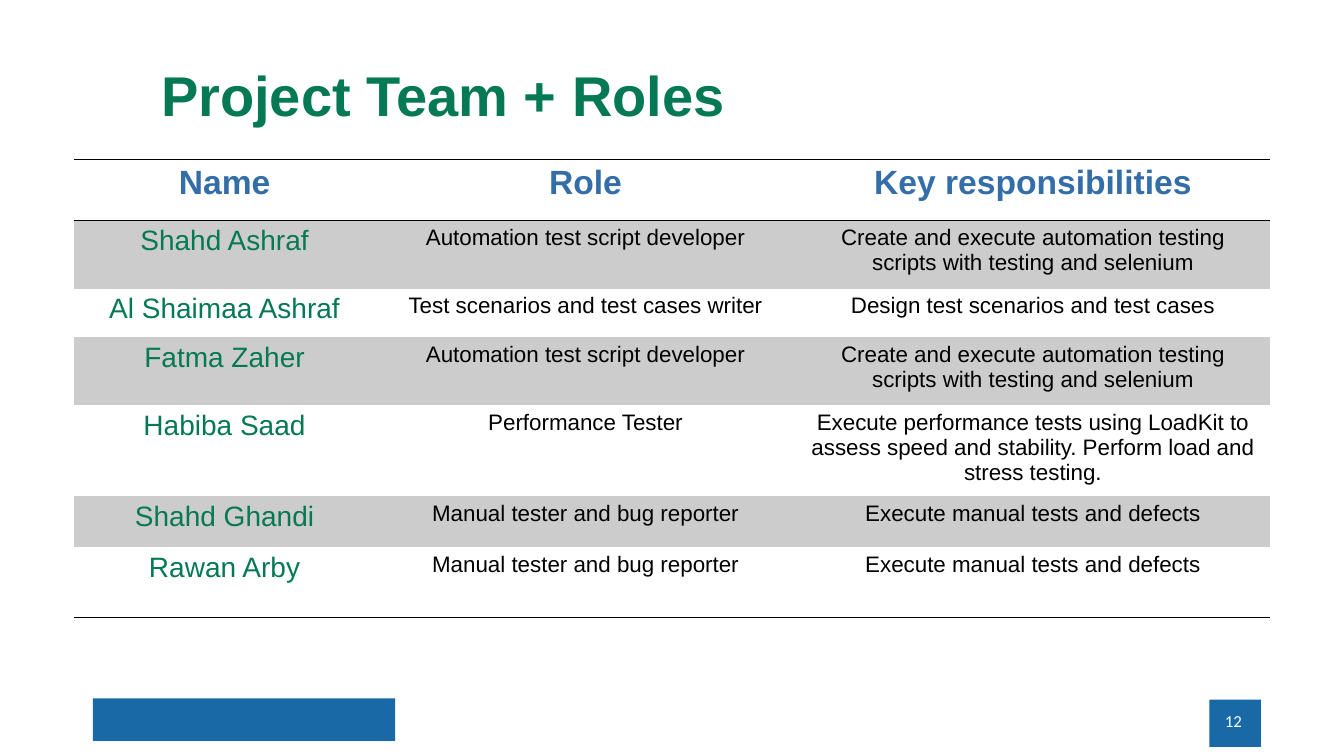
from lxml import etree
from pptx import Presentation
from pptx.dml.color import RGBColor
from pptx.enum import shapes, text
from pptx.oxml import ns
from pptx.util import Cm, Pt

GREEN = RGBColor(0x04, 0x79, 0x54)
HEADER_BLUE = RGBColor(0x33, 0x6E, 0xA8)
BAR_BLUE = RGBColor(0x18, 0x69, 0xA6)
BAND_GREY = RGBColor(0xCC, 0xCC, 0xCC)
BLACK = RGBColor(0, 0, 0)
WHITE = RGBColor(0xFF, 0xFF, 0xFF)

NO_STYLE_NO_GRID = "{2D5ABB26-0587-4C30-8999-92F81FD0307C}"
SCRIPT_DUTY = "Create and execute automation testing scripts with testing and selenium"
ROWS = [
    ("Name", "Role", "Key responsibilities"),
    ("Shahd Ashraf", "Automation test script developer", SCRIPT_DUTY),
    ("Al Shaimaa Ashraf", "Test scenarios and test cases writer",
     "Design test scenarios and test cases"),
    ("Fatma Zaher", "Automation test script developer", SCRIPT_DUTY),
    ("Habiba Saad", "Performance Tester",
     "Execute performance tests using LoadKit to assess speed and stability. "
     "Perform load and stress testing."),
    ("Shahd Ghandi", "Manual tester and bug reporter", "Execute manual tests and defects"),
    ("Rawan Arby", "Manual tester and bug reporter", "Execute manual tests and defects"),
]
COL_WIDTHS = [7.6, 10.59, 11.96]
ROW_HEIGHTS = [1.53, 1.72, 1.22, 1.72, 2.13, 1.3, 1.77]


def style(p, font, size, color, align, bold=False):
    p.alignment = align
    p.font.name, p.font.size, p.font.bold = font, Pt(size), bold
    p.font.color.rgb = color


def add_borders(cell, sides):
    """Draw 1 pt black lines on the given sides (lnT, lnB); call before filling."""
    for side in sides:
        ln = etree.SubElement(cell._tc.get_or_add_tcPr(), ns.qn(f"a:{side}"), w=str(Pt(1)))
        fill = etree.SubElement(ln, ns.qn("a:solidFill"))
        etree.SubElement(fill, ns.qn("a:srgbClr"), val=str(BLACK))


prs = Presentation()
prs.slide_width, prs.slide_height = Cm(33.87), Cm(19.05)
s = prs.slides.add_slide(prs.slide_layouts[5])

# Footer bars
for left, top, width, height in [(2.34, 17.6, 7.62, 1.07), (30.48, 17.63, 1.3, 1.19)]:
    bar = s.shapes.add_shape(shapes.MSO_SHAPE.RECTANGLE,
                             Cm(left), Cm(top), Cm(width), Cm(height))
    bar.shadow.inherit = False
    bar.fill.solid()
    bar.fill.fore_color.rgb = BAR_BLUE
    bar.line.fill.background()

# Title
title = s.shapes.title
title.left, title.top, title.width, title.height = Cm(3.81), Cm(0.94), Cm(23.32), Cm(3.1)
tf = title.text_frame
tf.text = "Project Team + Roles"
tf.auto_size = text.MSO_AUTO_SIZE.NONE
tf.vertical_anchor = text.MSO_ANCHOR.MIDDLE
tf.paragraphs[0].line_spacing = 0.9
style(tf.paragraphs[0], "Arial", 40, GREEN, text.PP_ALIGN.LEFT, bold=True)

# Slide number
number = s.shapes.add_textbox(Cm(23.93), Cm(17.65), Cm(7.62), Cm(1.02))
tf = number.text_frame
tf.word_wrap = True
tf.vertical_anchor = text.MSO_ANCHOR.MIDDLE
tf.text = "12"
style(tf.paragraphs[0], "Calibri", 12, WHITE, text.PP_ALIGN.RIGHT)

# Team table
frame = s.shapes.add_table(len(ROWS), len(COL_WIDTHS), Cm(1.86), Cm(4.02),
                           Cm(sum(COL_WIDTHS)), Cm(sum(ROW_HEIGHTS)))
table = frame.table
table._tbl.tblPr.find(ns.qn("a:tableStyleId")).text = NO_STYLE_NO_GRID
for column, width in zip(table.columns, COL_WIDTHS):
    column.width = Cm(width)
for row, height in zip(table.rows, ROW_HEIGHTS):
    row.height = Cm(height)

for i, row in enumerate(ROWS):
    for j, value in enumerate(row):
        cell = table.cell(i, j)
        cell.text = value
        if i == 0:
            size, color = 24, HEADER_BLUE
            add_borders(cell, ["lnT", "lnB"])
        else:
            size, color = (20, GREEN) if j == 0 else (16, BLACK)
            if i == len(ROWS) - 1:
                add_borders(cell, ["lnB"])
        style(cell.text_frame.paragraphs[0], "Arial", size, color,
              text.PP_ALIGN.CENTER, bold=i == 0)
        if i % 2:
            cell.fill.solid()
            cell.fill.fore_color.rgb = BAND_GREY
        else:
            cell.fill.background()

prs.save("out.pptx")
